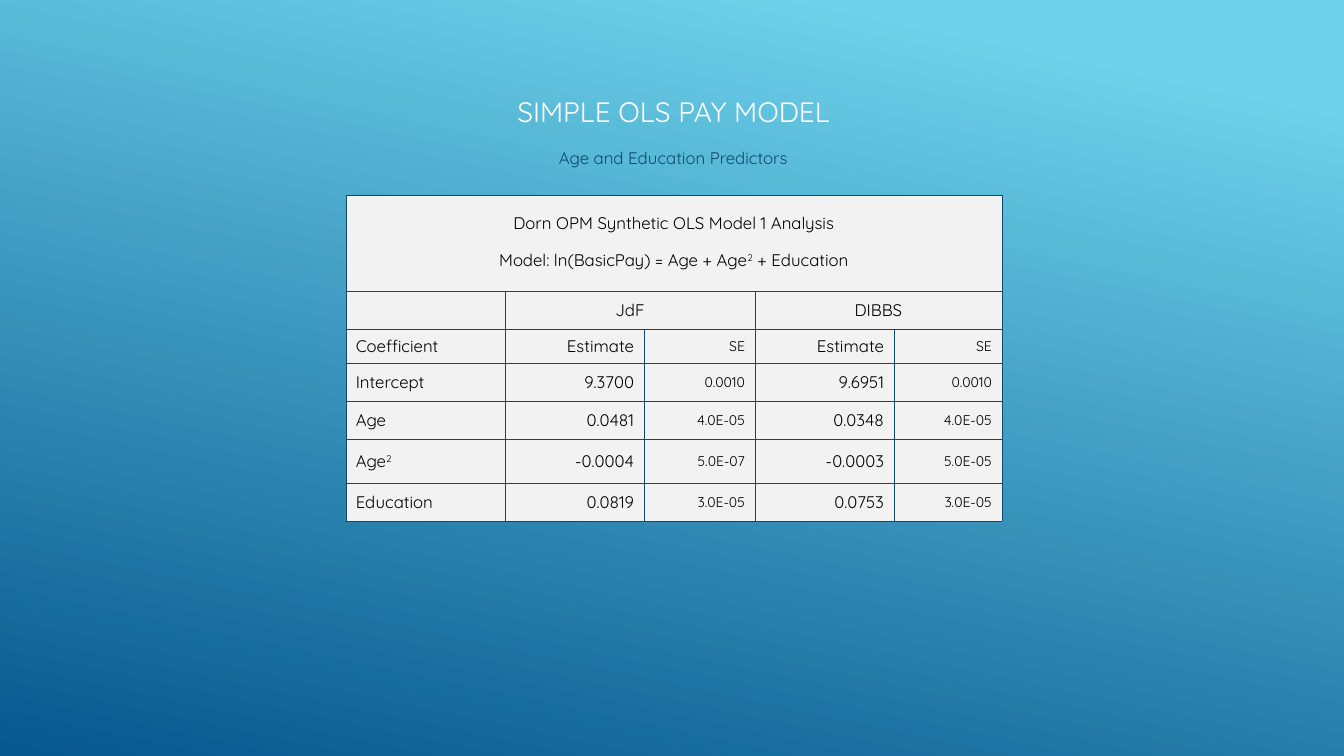
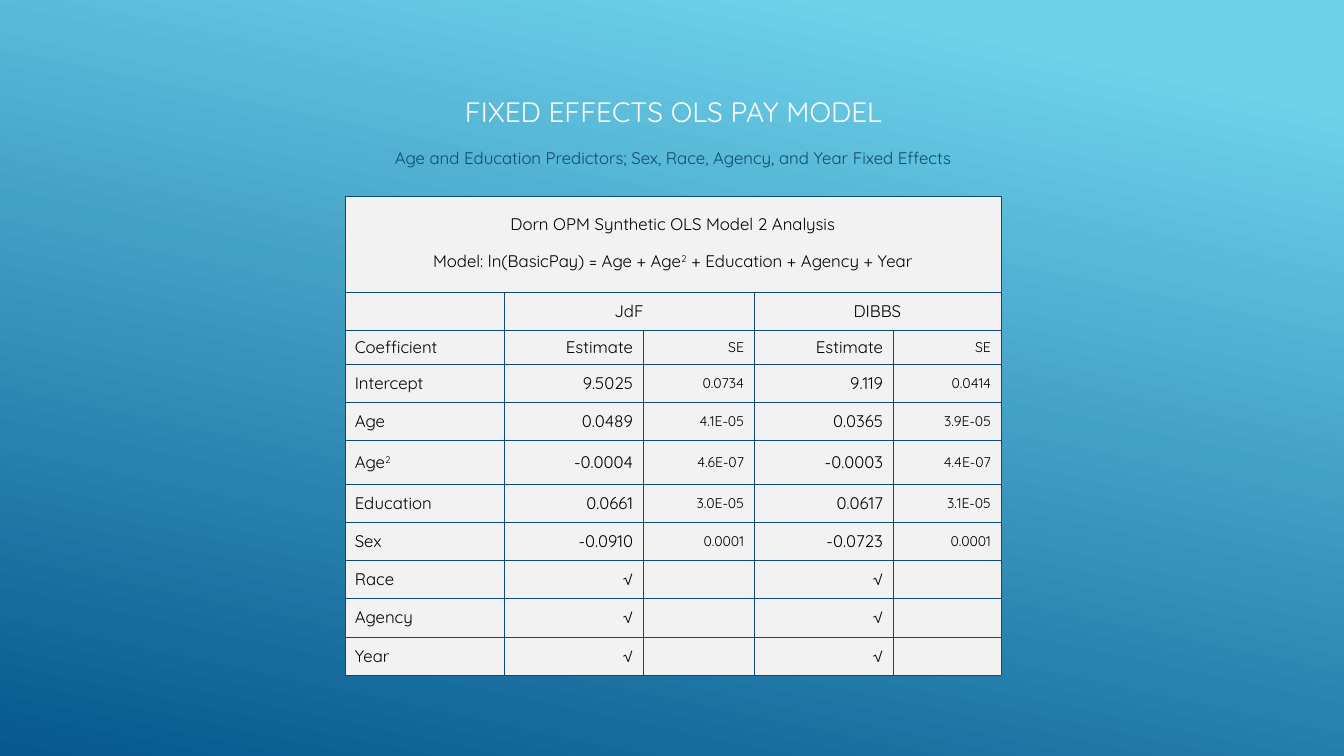
import dataclasses

import pptx
import pptx.dml.color
import pptx.enum.text
import pptx.oxml
import pptx.oxml.ns
import pptx.util

ALIGN = pptx.enum.text.PP_ALIGN
ANCHOR = pptx.enum.text.MSO_ANCHOR


@dataclasses.dataclass(frozen=True)
class Theme:
    font: str = "Quicksand"
    title_color: str = "FFFFFF"
    accent: str = "0F496F"
    ink: str = "000000"
    paper: str = "F2F2F2"
    backdrop: tuple = ((0.1, "6ED2EB"), (1.0, "06588E"))
    backdrop_angle: int = 258
    title_size: int = 20
    text_size: int = 12
    error_size: int = 10
    border_width: float = 0.25


GRID_COLUMNS, GRID_ROWS = 200, 150
TITLE_BOX = (6.75, 15.6, 187, 10.8)
SUBTITLE_BOX = (39, 28.4, 122.4, 8)
COLUMN_WIDTHS = (23.7, 20.7, 16.5, 20.7, 16.05)
HEADER_HEIGHTS = (10.8, 6.6, 7.6, 6.6)
ROW_HEIGHT, SQUARED_HEIGHT = 7.6, 8.6
WIDE_INSET, INSET = 3, 1.5
CAPTION_DROP = 4
ESTIMATE_HEADINGS = ("Coefficient", "Estimate", "SE", "Estimate", "SE")


def assign(target, values):
    for attribute, value in values.items():
        setattr(target, attribute, value)


def rgb(value):
    return pptx.dml.color.RGBColor.from_string(value)


class Deck:
    def __init__(self, theme):
        self.theme = theme
        self.presentation = pptx.Presentation()
        assign(self.presentation, {
            "slide_width": pptx.util.Inches(13.33),
            "slide_height": pptx.util.Inches(7.5),
        })
        self.slide = None
        backdrop = self.presentation.slide_master.background.fill
        backdrop.gradient()
        backdrop.gradient_angle = theme.backdrop_angle
        for stop, (position, color) in zip(backdrop.gradient_stops, theme.backdrop):
            stop.position = position
            stop.color.rgb = rgb(color)

    def across(self, columns):
        return round(self.presentation.slide_width * columns / GRID_COLUMNS)

    def down(self, rows):
        return round(self.presentation.slide_height * rows / GRID_ROWS)

    def box(self, left, top, width, height):
        return {"left": self.across(left), "top": self.down(top),
                "width": self.across(width), "height": self.down(height)}

    def line(self, frame, text, size, color, align):
        paragraph = frame.paragraphs[0]
        paragraph.alignment = align
        for index, part in enumerate(text.split("^")):
            run = paragraph.add_run()
            run.text = part
            assign(run.font, {"name": self.theme.font, "size": pptx.util.Pt(size)})
            run.font.color.rgb = rgb(color)
            if index % 2:
                run.font._element.set("baseline", "30000")
        return paragraph

    def placeholder(self, holder, box, text, size, color, anchor):
        assign(holder, self.box(*box))
        assign(holder.text_frame, {
            "word_wrap": True,
            "auto_size": pptx.enum.text.MSO_AUTO_SIZE.NONE,
            "vertical_anchor": anchor,
        })
        return self.line(holder.text_frame, text, size, color, ALIGN.CENTER)

    def add_slide(self, title, subtitle):
        theme = self.theme
        self.slide = self.presentation.slides.add_slide(self.presentation.slide_layouts[0])
        heading, subheading = self.slide.placeholders
        self.placeholder(heading, TITLE_BOX, title, theme.title_size,
                         theme.title_color, ANCHOR.BOTTOM)
        predictors = self.placeholder(subheading, SUBTITLE_BOX, subtitle,
                                      theme.text_size, theme.accent, ANCHOR.TOP)
        predictors.space_after = pptx.util.Pt(6)

    def borders(self, cell, open_edge):
        properties = cell._tc.get_or_add_tcPr()
        for edge in "LRTB":
            paint = "<a:noFill/>" if edge == open_edge else (
                f'<a:solidFill><a:srgbClr val="{self.theme.accent}"/></a:solidFill>')
            properties.append(pptx.oxml.parse_xml(
                f'<a:ln{edge} {pptx.oxml.ns.nsdecls("a")} '
                f'w="{pptx.util.Pt(self.theme.border_width)}">{paint}</a:ln{edge}>'))

    def cell(self, cell, text, row, column):
        theme = self.theme
        spanning = row < 3
        inset = self.across(WIDE_INSET if spanning else INSET)
        assign(cell, {
            "margin_left": inset, "margin_right": inset, "margin_top": 0,
            "margin_bottom": self.down(CAPTION_DROP) if row == 1 else 0,
            "vertical_anchor": ANCHOR.MIDDLE,
        })
        self.borders(cell, {0: "B", 1: "T"}.get(row))
        cell.fill.solid()
        cell.fill.fore_color.rgb = rgb(theme.paper)
        if cell.is_spanned:
            return
        is_error = not spanning and column in (2, 4)
        align = ALIGN.CENTER if spanning else ALIGN.RIGHT if column else ALIGN.LEFT
        self.line(cell.text_frame, text,
                  theme.error_size if is_error else theme.text_size, theme.ink, align)

    def estimates(self, left, top, caption, formula, coefficients):
        blank = ("",) * 4
        rows = [(caption, *blank), (formula, *blank), ("", "JdF", "", "DIBBS", ""),
                ESTIMATE_HEADINGS, *coefficients]
        heights = [*HEADER_HEIGHTS, *(SQUARED_HEIGHT if "^" in entry[0] else ROW_HEIGHT
                                      for entry in coefficients)]
        frame = self.box(left, top, sum(COLUMN_WIDTHS), sum(heights))
        table = self.slide.shapes.add_table(len(rows), len(COLUMN_WIDTHS), **frame).table
        assign(table, {"first_row": False, "horz_banding": False})
        for column, width in zip(table.columns, COLUMN_WIDTHS):
            column.width = self.across(width)
        for row, height in zip(table.rows, heights):
            row.height = self.down(height)
        for row, first, last in ((0, 0, 4), (1, 0, 4), (2, 1, 2), (2, 3, 4)):
            table.cell(row, first).merge(table.cell(row, last))
        for row, texts in enumerate(rows):
            for column, text in enumerate(texts):
                self.cell(table.cell(row, column), text, row, column)


def main():
    deck = Deck(Theme())

    deck.add_slide("SIMPLE OLS PAY MODEL", "Age and Education Predictors")
    deck.estimates(
        51.45, 38.8, "Dorn OPM Synthetic OLS Model 1 Analysis",
        "Model: ln(BasicPay) = Age + Age^2^ + Education",
        [
            ("Intercept", "9.3700", "0.0010", "9.6951", "0.0010"),
            ("Age", "0.0481", "4.0E-05", "0.0348", "4.0E-05"),
            ("Age^2", "-0.0004", "5.0E-07", "-0.0003", "5.0E-05"),
            ("Education", "0.0819", "3.0E-05", "0.0753", "3.0E-05"),
        ])

    deck.add_slide("FIXED EFFECTS OLS PAY MODEL",
                   "Age and Education Predictors; Sex, Race, Agency, and Year Fixed Effects")
    deck.estimates(
        51.3, 39, "Dorn OPM Synthetic OLS Model 2 Analysis",
        "Model: ln(BasicPay) = Age + Age^2^ + Education + Agency + Year",
        [
            ("Intercept", "9.5025", "0.0734", "9.119", "0.0414"),
            ("Age", "0.0489", "4.1E-05", "0.0365", "3.9E-05"),
            ("Age^2", "-0.0004", "4.6E-07", "-0.0003", "4.4E-07"),
            ("Education", "0.0661", "3.0E-05", "0.0617", "3.1E-05"),
            ("Sex", "-0.0910", "0.0001", "-0.0723", "0.0001"),
            *((effect, "√", "", "√", "") for effect in ("Race", "Agency", "Year")),
        ])

    deck.presentation.save("out.pptx")


if __name__ == "__main__":
    main()
